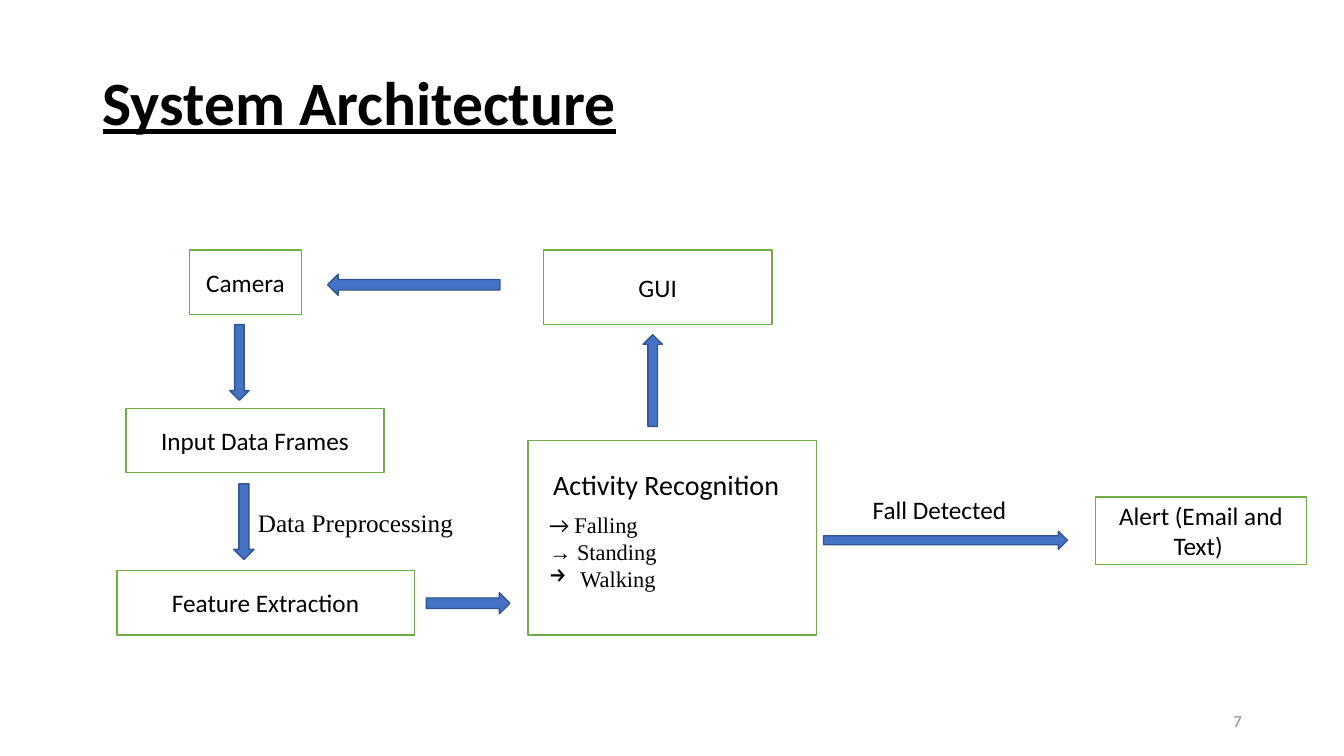
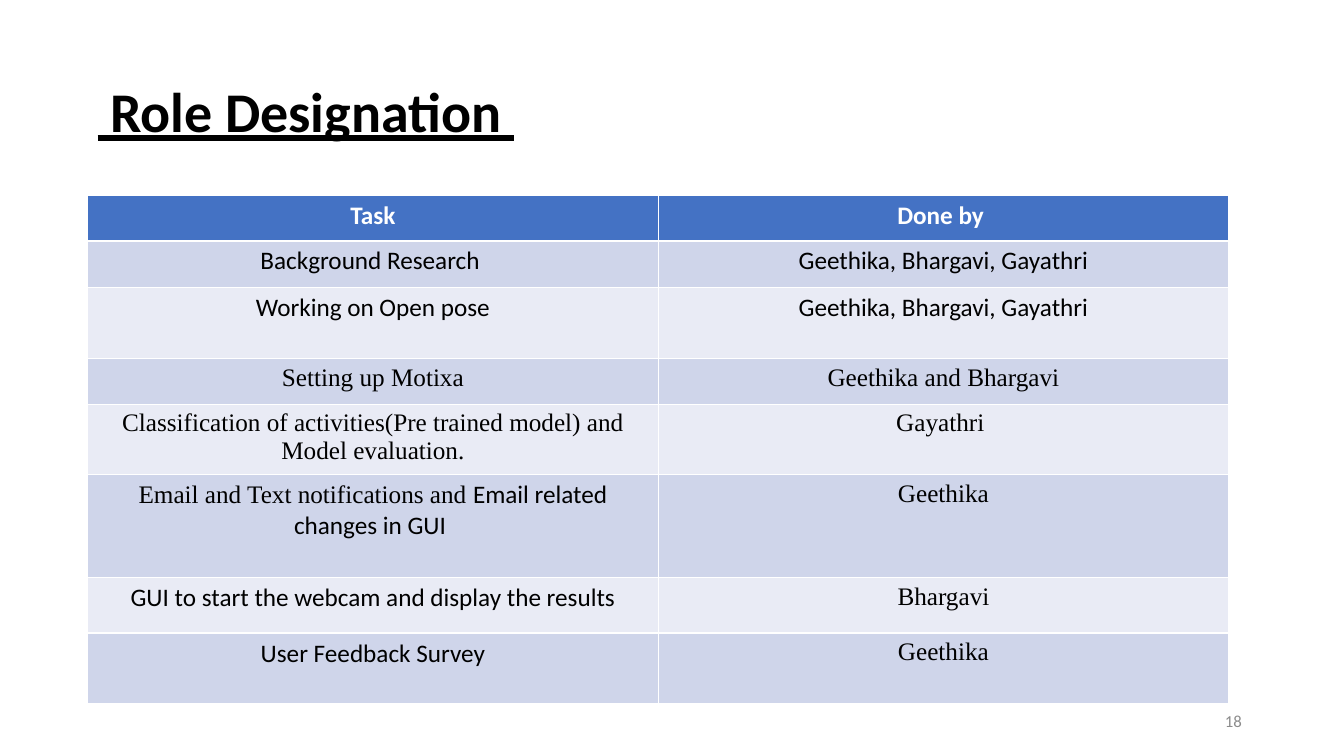
from dataclasses import dataclass
from typing import Optional

from pptx import Presentation
from pptx.dml.color import RGBColor
from pptx.enum.shapes import MSO_SHAPE
from pptx.enum.text import MSO_ANCHOR, PP_ALIGN
from pptx.oxml.ns import qn
from pptx.util import Inches, Pt

RECTANGLE = MSO_SHAPE.RECTANGLE
DOWN, UP = MSO_SHAPE.DOWN_ARROW, MSO_SHAPE.UP_ARROW
LEFT_ARROW, RIGHT_ARROW = MSO_SHAPE.LEFT_ARROW, MSO_SHAPE.RIGHT_ARROW
LEFT, CENTER, RIGHT = PP_ALIGN.LEFT, PP_ALIGN.CENTER, PP_ALIGN.RIGHT
TOP, MIDDLE = MSO_ANCHOR.TOP, MSO_ANCHOR.MIDDLE

COLUMNS, ROWS = 40, 22.5
CELL = Inches(1 / 3)
SANS, SERIF = "Calibri", "Times New Roman"
COLORS = {
    "text": "000000",
    "white": "FFFFFF",
    "page_number": "8C8C8C",
    "box_line": "70AD47",
    "arrow": "4472C4",
    "arrow_line": "325491",
    "header": "4472C4",
    "band_dark": "CFD5EA",
    "band_light": "E9EBF5",
}


@dataclass(frozen=True)
class Area:
    """Place on the slide in grid columns and rows."""
    column: float
    row: float
    width: float
    height: float

    def lengths(self) -> tuple:
        """Return left, top, width and height as lengths."""
        return tuple(grid(value) for value in (self.column, self.row, self.width, self.height))


@dataclass(frozen=True)
class Span:
    """Stretch of text, with a font if it differs from its paragraph."""
    text: str
    font: Optional[str] = None


@dataclass(frozen=True)
class Para:
    """Paragraph with one shared style."""
    spans: tuple
    size: float = 18
    font: str = SANS
    color: str = "text"
    bold: bool = False
    underline: bool = False
    align: PP_ALIGN = LEFT
    spacing: float = 1.0
    bullet: str = ""


@dataclass(frozen=True)
class Label:
    """Free text on the diagram."""
    area: Area
    paras: tuple
    wrap: bool = True


@dataclass(frozen=True)
class Box:
    """Outlined step of the diagram."""
    area: Area
    text: str = ""


@dataclass(frozen=True)
class Arrow:
    """Block arrow between two steps."""
    kind: MSO_SHAPE
    area: Area


@dataclass(frozen=True)
class Task:
    """Table row with its height in grid rows."""
    height: float
    task: Para
    people: Para


def grid(value: float) -> int:
    """Convert grid units to a length."""
    return round(value * CELL)


def color(name: str) -> RGBColor:
    """Look up a palette colour."""
    return RGBColor.from_string(COLORS[name])


def line(text: str, **style) -> Para:
    """Make a paragraph of one span."""
    return Para((Span(text),), **style)


def centered(text: str, **style) -> Para:
    """Make a centred paragraph of one span."""
    return line(text, align=CENTER, **style)


BOXES = (
    Box(Area(5.64, 7.44, 3.33, 1.92), "Camera"),
    Box(Area(3.75, 12.15, 7.68, 1.92), "Input Data Frames"),
    Box(Area(3.48, 16.98, 8.85, 1.92), "Feature Extraction"),
    Box(Area(15.72, 13.11, 8.58, 5.79)),
    Box(Area(32.61, 14.79, 6.27, 2.01), "Alert (Email and Text) "),
    Box(Area(16.17, 7.44, 6.81, 2.22), "GUI"),
)
ARROWS = (
    Arrow(DOWN, Area(6.84, 9.66, 0.57, 2.25)),
    Arrow(DOWN, Area(6.96, 14.4, 0.6, 2.25)),
    Arrow(RIGHT_ARROW, Area(12.69, 17.64, 2.49, 0.63)),
    Arrow(RIGHT_ARROW, Area(24.51, 15.81, 7.26, 0.54)),
    Arrow(LEFT_ARROW, Area(9.75, 8.16, 5.13, 0.63)),
    Arrow(UP, Area(19.14, 9.96, 0.57, 2.73)),
)
LABELS = (
    Label(Area(16.05, 15.06, 8.79, 2.73), (
        Para((Span("→ ", SANS), Span("Falling", SERIF)), size=16),
        line("→ Standing", size=16, font=SERIF),
        line("Walking", size=16, font=SERIF, bullet="→"),
    )),
    Label(Area(7.38, 14.94, 6.48, 1.2), (line("Data Preprocessing", font=SERIF),), wrap=False),
    Label(Area(16.17, 13.77, 7.65, 2.31), (line("Activity Recognition", size=20),)),
    Label(Area(25.68, 14.55, 5.4, 2.13), (line("Fall Detected"),)),
)

HEADER = {"color": "white", "bold": True}
TEAM = "Geethika, Bhargavi, Gayathri"
TASKS = (
    Task(1.35, centered("Task", **HEADER), centered("Done by ", **HEADER)),
    Task(1.38, centered("Background Research "), centered(TEAM)),
    Task(2.13, centered("Working on Open pose"), centered(TEAM)),
    Task(1.35, centered("Setting up Motixa", font=SERIF),
         centered("Geethika and Bhargavi", font=SERIF)),
    Task(2.1, centered("Classification of activities(Pre trained model) and Model evaluation.",
                       font=SERIF), centered("Gayathri ", font=SERIF)),
    Task(3.06, Para((Span("Email and Text notifications and ", SERIF),
                     Span("Email related changes in GUI ", SANS)), align=CENTER),
         centered("Geethika", font=SERIF)),
    Task(1.65, centered("GUI to start the webcam and display the results"),
         centered("Bhargavi", font=SERIF)),
    Task(2.1, centered("User Feedback Survey"), centered("Geethika", font=SERIF)),
)
TABLE_COLUMN = 16.98


def add_bullet(paragraph, symbol: str) -> None:
    """Give a paragraph a hanging bullet."""
    properties = paragraph._p.get_or_add_pPr()
    indent = Inches(0.31)
    properties.set("marL", str(indent))
    properties.set("indent", str(-indent))
    bullet = properties.makeelement(qn("a:buChar"), {"char": symbol})
    properties.insert_element_before(bullet, "a:tabLst", "a:defRPr", "a:extLst")


def write(frame, paras: tuple) -> None:
    """Write styled paragraphs into a text frame."""
    for index, para in enumerate(paras):
        paragraph = frame.paragraphs[0] if index == 0 else frame.add_paragraph()
        paragraph.alignment = para.align
        paragraph.line_spacing = para.spacing
        font = paragraph.font
        font.name, font.size = para.font, Pt(para.size)
        font.bold, font.underline = para.bold, para.underline
        font.color.rgb = color(para.color)
        if para.bullet:
            add_bullet(paragraph, para.bullet)
        for span in para.spans:
            run = paragraph.add_run()
            run.text = span.text
            if span.font:
                run.font.name = span.font


def add_text(page, area: Area, paras: tuple, anchor: MSO_ANCHOR = TOP, wrap: bool = True) -> None:
    """Add a text box."""
    frame = page.shapes.add_textbox(*area.lengths()).text_frame
    frame.word_wrap = wrap
    frame.vertical_anchor = anchor
    write(frame, paras)


def add_figure(page, kind: MSO_SHAPE, area: Area, fill: str, outline: str):
    """Add a flat preset shape."""
    shape = page.shapes.add_shape(kind, *area.lengths())
    shape.shadow.inherit = False
    shape.fill.solid()
    shape.fill.fore_color.rgb = color(fill)
    shape.line.color.rgb = color(outline)
    shape.line.width = Pt(1)
    return shape


def add_page(deck, title: str, title_size: float, column: float, row: float, number: int):
    """Add a blank slide with its title and page number."""
    page = deck.slides.add_slide(deck.slide_layouts[6])
    heading = line(title, size=title_size, bold=True, underline=True, spacing=0.9)
    add_text(page, Area(column, row, 34.5, 4.35), (heading,), MIDDLE)
    footer = line(str(number), size=12, color="page_number", align=RIGHT)
    add_text(page, Area(28.26, 20.85, 9, 1.2), (footer,), MIDDLE)
    return page


def draw_architecture(deck) -> None:
    """Draw the system diagram."""
    page = add_page(deck, "System Architecture", 44, 2.76, 0.96, 7)
    for box in BOXES:
        shape = add_figure(page, RECTANGLE, box.area, "white", "box_line")
        if box.text:
            shape.text_frame.word_wrap = True
            shape.text_frame.vertical_anchor = MIDDLE
            write(shape.text_frame, (centered(box.text),))
    for arrow in ARROWS:
        add_figure(page, arrow.kind, arrow.area, "arrow", "arrow_line")
    for label in LABELS:
        add_text(page, label.area, label.paras, wrap=label.wrap)


def draw_roles(deck) -> None:
    """Draw the table of tasks and people."""
    page = add_page(deck, " Role Designation ", 40, 2.61, 1.23, 18)
    height = sum(task.height for task in TASKS)
    area = Area(2.61, 5.82, 2 * TABLE_COLUMN, height)
    table = page.shapes.add_table(len(TASKS), 2, *area.lengths()).table
    for column in table.columns:
        column.width = grid(TABLE_COLUMN)
    for index, task in enumerate(TASKS):
        table.rows[index].height = grid(task.height)
        band = "band_dark" if index % 2 else "band_light"
        for cell, para in zip(table.rows[index].cells, (task.task, task.people)):
            cell.fill.solid()
            cell.fill.fore_color.rgb = color(band if index else "header")
            write(cell.text_frame, (para,))


def main() -> None:
    """Build and save the deck."""
    deck = Presentation()
    deck.slide_width, deck.slide_height = grid(COLUMNS), grid(ROWS)
    draw_architecture(deck)
    draw_roles(deck)
    deck.save("out.pptx")


if __name__ == "__main__":
    main()
